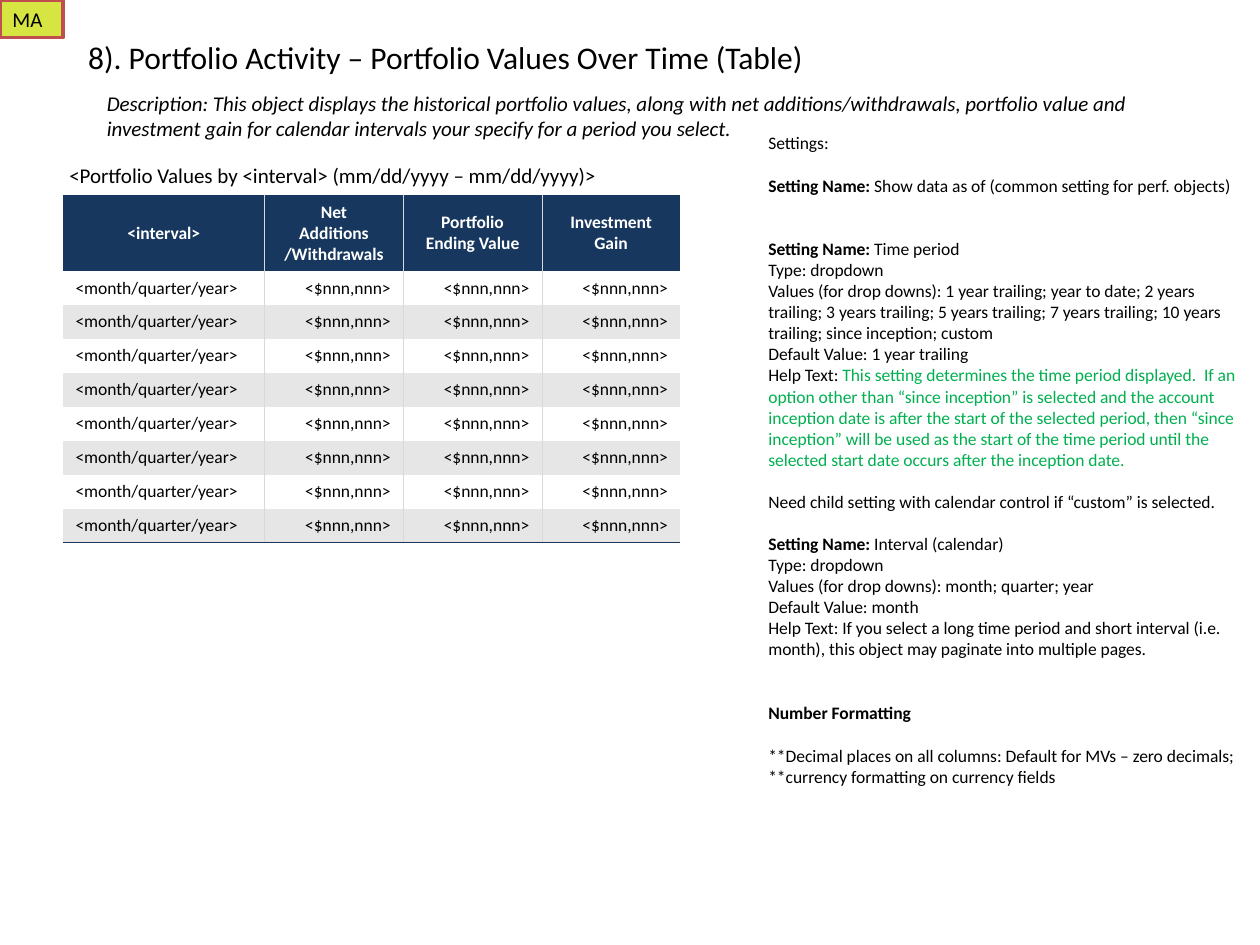
from dataclasses import dataclass

from lxml import etree
from pptx import Presentation
from pptx.dml.color import RGBColor
from pptx.enum.shapes import MSO_SHAPE
from pptx.enum.text import MSO_ANCHOR, MSO_AUTO_SIZE, PP_ALIGN
from pptx.oxml.ns import qn
from pptx.util import Pt

RECTANGLE = MSO_SHAPE.RECTANGLE
TOP, MIDDLE, BOTTOM = MSO_ANCHOR.TOP, MSO_ANCHOR.MIDDLE, MSO_ANCHOR.BOTTOM
GROW = MSO_AUTO_SIZE.SHAPE_TO_FIT_TEXT
LEFT, CENTER, RIGHT = PP_ALIGN.LEFT, PP_ALIGN.CENTER, PP_ALIGN.RIGHT

FONT = "Calibri"
BLACK, WHITE, GREEN = "000000", "FFFFFF", "00B050"
NAVY, BAND, RULE = "17375E", "E6E6E6", "D9D9D9"
BADGE_FILL, BADGE_LINE = "D6E542", "C0504D"
LINE = 12.2  # height of one line of 10 pt text


@dataclass
class Area:
    left: float
    top: float
    width: float
    height: float

    def lengths(self) -> tuple:
        return Pt(self.left), Pt(self.top), Pt(self.width), Pt(self.height)


@dataclass
class Entry:
    """One paragraph of the settings: an optional label, then its text."""
    text: str
    label: str = ""
    label_bold: bool = False
    color: str = BLACK
    bold: bool = False
    gap: float = 0


def setting(name: str, gap: float) -> Entry:
    return Entry(" " + name, label="Setting Name:", label_bold=True, gap=gap)


HEADINGS = ["<interval>", "Net Additions /Withdrawals",
            "Portfolio Ending Value", "Investment Gain"]
RECORD = ["<month/quarter/year>"] + ["<$nnn,nnn>"] * 3
RECORD_COUNT = 8
COLUMN_WIDTHS = [115.2, 79.2, 79.2, 79.2]
ROW_HEIGHTS = [21.6, 43.2] + [19.4] * RECORD_COUNT

SETTINGS = [
    Entry("Settings:"),
    setting("Show data as of (common setting for perf. objects)", LINE),
    setting("Time period", 2 * LINE),
    Entry("Type: dropdown"),
    Entry("Values (for drop downs): 1 year trailing; year to date; 2 years trailing; "
          "3 years trailing; 5 years trailing; 7 years trailing; 10 years trailing; "
          "since inception; custom"),
    Entry("Default Value: 1 year trailing"),
    Entry("This setting determines the time period displayed.  If an option other than "
          "“since inception” is selected and the account inception date is after the "
          "start of the selected period, then “since inception” will be used as the "
          "start of the time period until the selected start date occurs after the "
          "inception date.", label="Help Text: ", color=GREEN),
    Entry("Need child setting with calendar control if “custom” is selected.", gap=LINE),
    setting("Interval (calendar)", LINE),
    Entry("Type: dropdown"),
    Entry("Values (for drop downs): month; quarter; year"),
    Entry("Default Value: month"),
    Entry("Help Text: If you select a long time period and short interval (i.e. month), "
          "this object may paginate into multiple pages."),
    Entry("Number Formatting", bold=True, gap=2 * LINE),
    Entry("**Decimal places on all columns: Default for MVs – zero decimals; "
          "**currency formatting on currency fields", gap=LINE),
]


def rgb(value: str) -> RGBColor:
    return RGBColor.from_string(value)


def add_span(para, text: str, size: float = 10, color: str = BLACK,
             bold: bool = False, italic: bool = False) -> None:
    span = para.add_run()
    span.text = text
    span.font.name = FONT
    span.font.size = Pt(size)
    span.font.bold = bold
    span.font.italic = italic
    span.font.color.rgb = rgb(color)


def prepare_frame(box, wrap: bool = True, top_inset: float = 3.6):
    """Set up the text frame of a box and return its first paragraph."""
    frame = box.text_frame
    frame.word_wrap = wrap
    frame.auto_size = GROW
    frame.vertical_anchor = TOP
    frame.margin_left = frame.margin_right = Pt(7.2)
    frame.margin_top, frame.margin_bottom = Pt(top_inset), Pt(3.6)
    para = frame.paragraphs[0]
    para.alignment = LEFT
    return para


def add_rectangle(page, area: Area, fill: str, line: str = ""):
    box = page.shapes.add_shape(RECTANGLE, *area.lengths())
    box.shadow.inherit = False
    box.fill.solid()
    box.fill.fore_color.rgb = rgb(fill)
    if line:
        box.line.color.rgb = rgb(line)
        box.line.width = Pt(2)
    else:
        box.line.fill.background()
    return box


def set_borders(cell, **colors: str) -> None:
    """Draw the named sides (L, R, T, B) and clear the others."""
    properties = cell._tc.get_or_add_tcPr()
    for side in "LRTB":
        border = etree.SubElement(properties, qn(f"a:ln{side}"), w=str(Pt(0.23)))
        if side in colors:
            fill = etree.SubElement(border, qn("a:solidFill"))
            etree.SubElement(fill, qn("a:srgbClr"), val=colors[side])
        else:
            etree.SubElement(border, qn("a:noFill"))


def fill_cell(cell, text: str, fill: str = "", align=LEFT, anchor=MIDDLE,
              left_inset: float = 7.2, **style) -> None:
    cell.vertical_anchor = anchor
    cell.margin_left, cell.margin_right = Pt(left_inset), Pt(7.2)
    cell.margin_top = cell.margin_bottom = Pt(3.6)
    if fill:
        cell.fill.solid()
        cell.fill.fore_color.rgb = rgb(fill)
    else:
        cell.fill.background()
    para = cell.text_frame.paragraphs[0]
    para.alignment = align
    add_span(para, text, **style)


def add_values_table(page, area: Area) -> None:
    last_row, last_column = len(ROW_HEIGHTS) - 1, len(COLUMN_WIDTHS) - 1
    table = page.shapes.add_table(last_row + 1, last_column + 1, *area.lengths()).table
    table.first_row = table.horz_banding = False
    for column, width in zip(table.columns, COLUMN_WIDTHS):
        column.width = Pt(width)
    for row, height in zip(table.rows, ROW_HEIGHTS):
        row.height = Pt(height)

    # Caption across all columns
    for column in range(last_column + 1):
        set_borders(table.cell(0, column))
    caption = table.cell(0, 0)
    caption.merge(table.cell(0, last_column))
    fill_cell(caption, "<Portfolio Values by <interval> (mm/dd/yyyy – mm/dd/yyyy)>",
              anchor=BOTTOM, left_inset=3.6, size=12)

    # Headings, then banded records
    for row, texts in enumerate([HEADINGS] + [RECORD] * RECORD_COUNT, start=1):
        for column, text in enumerate(texts):
            cell = table.cell(row, column)
            sides = {}
            if column > 0:
                sides["L"] = RULE
            if column < last_column:
                sides["R"] = RULE
            if row == last_row:
                sides["B"] = NAVY
            set_borders(cell, **sides)
            if row == 1:
                fill_cell(cell, text, NAVY, CENTER, color=WHITE, bold=True)
            else:
                fill_cell(cell, text, BAND if row % 2 else WHITE,
                          RIGHT if column else LEFT)


def add_settings(page, area: Area) -> None:
    box = add_rectangle(page, area, WHITE)
    para = prepare_frame(box)
    for index, entry in enumerate(SETTINGS):
        if index:
            para = box.text_frame.add_paragraph()
            para.alignment = LEFT
            para.space_before = Pt(entry.gap)
        if entry.label:
            add_span(para, entry.label, bold=entry.label_bold)
        add_span(para, entry.text, color=entry.color, bold=entry.bold)


def main() -> None:
    deck = Presentation()
    deck.slide_width, deck.slide_height = Pt(720), Pt(540)
    page = deck.slides.add_slide(deck.slide_layouts[5])

    # Title
    title = page.shapes.title
    title.left, title.top, title.width, title.height = Area(43.2, 18, 427, 28.8).lengths()
    add_span(prepare_frame(title, wrap=False),
             "8). Portfolio Activity – Portfolio Values Over Time (Table)", size=18)

    add_values_table(page, Area(36, 90, sum(COLUMN_WIDTHS), sum(ROW_HEIGHTS)))
    add_settings(page, Area(432, 72, 288, 391.7))

    # Description
    description = page.shapes.add_textbox(*Area(54, 36, 648, 48.2).lengths())
    add_span(prepare_frame(description, top_inset=3.6 + LINE),
             "Description: This object displays the historical portfolio values, along "
             "with net additions/withdrawals, portfolio value and investment gain for "
             "calendar intervals your specify for a period you select.",
             size=12, italic=True)

    # Corner badge
    badge = add_rectangle(page, Area(0, 0, 36, 21.6), BADGE_FILL, BADGE_LINE)
    add_span(prepare_frame(badge), "MA", size=12)

    deck.save("out.pptx")


if __name__ == "__main__":
    main()
